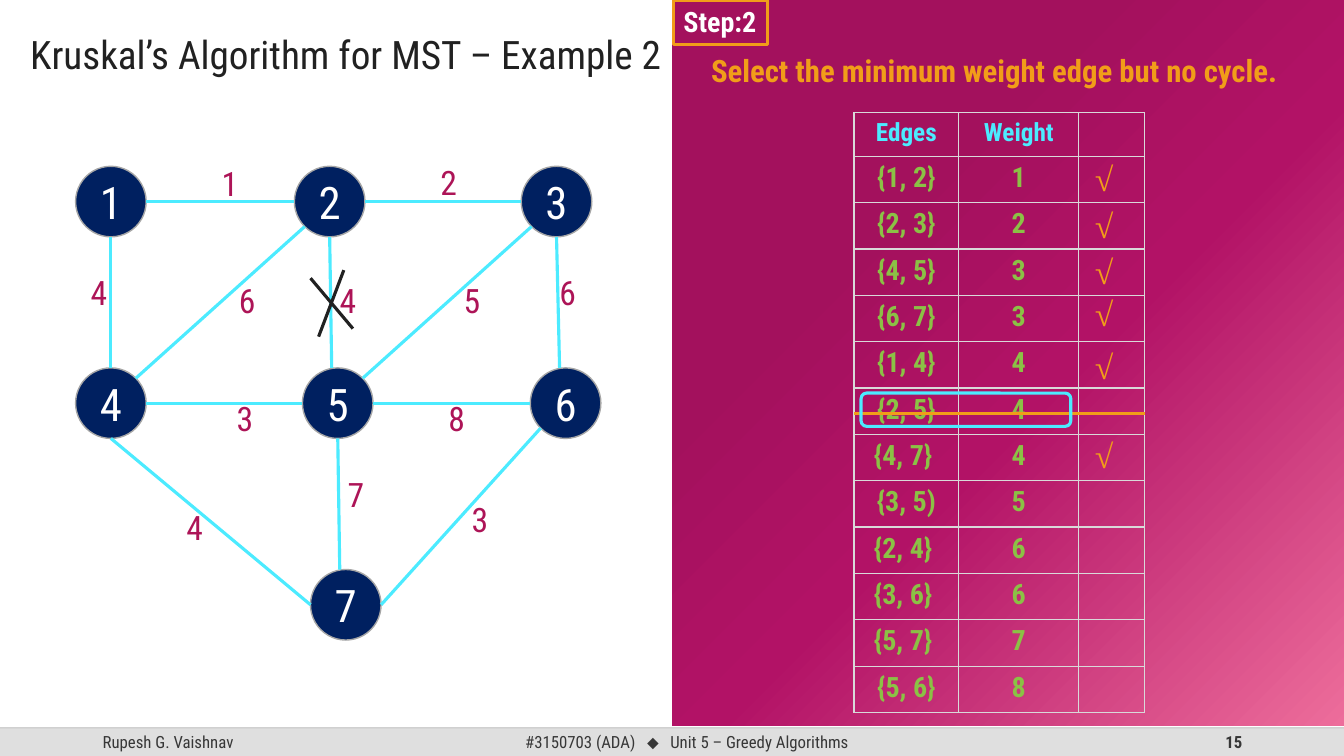
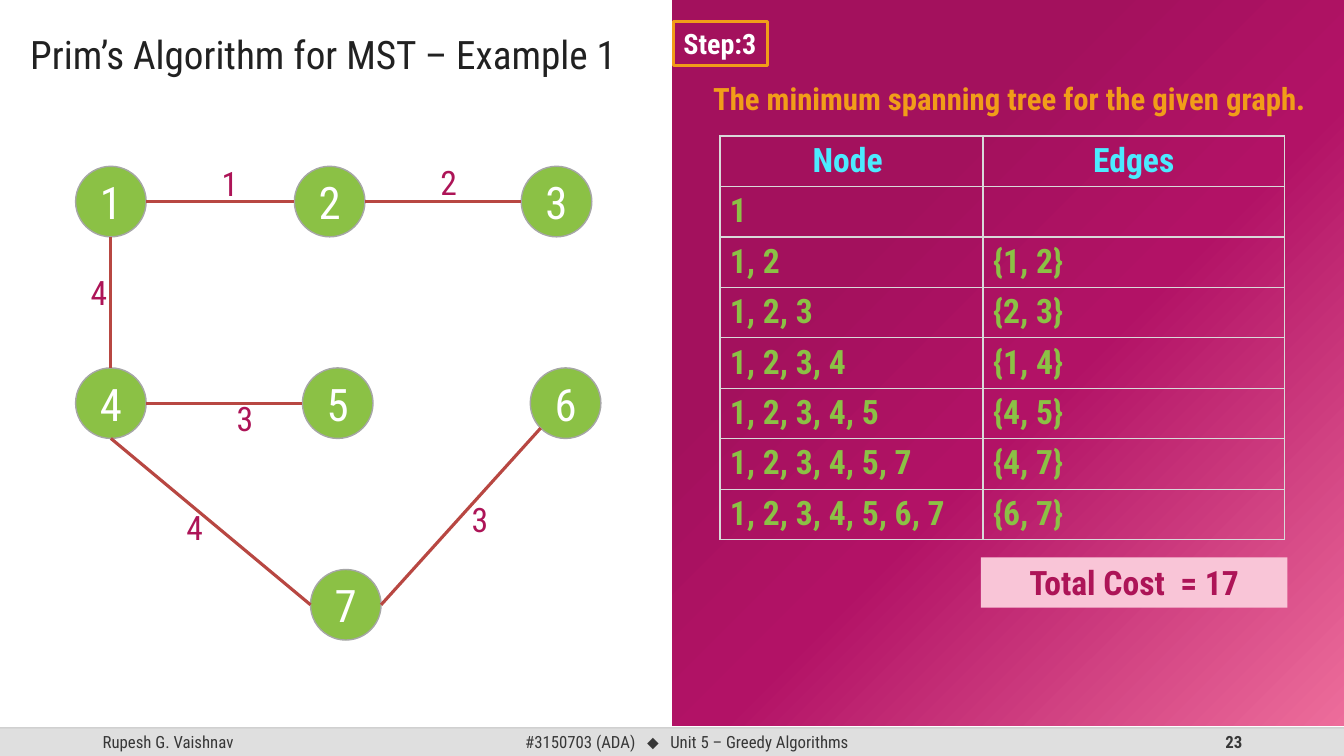
from dataclasses import dataclass, replace
from typing import NamedTuple, Sequence

from lxml import etree
from pptx import Presentation
from pptx.dml.color import RGBColor
from pptx.enum.shapes import MSO_CONNECTOR, MSO_SHAPE
from pptx.enum.text import MSO_ANCHOR, PP_ALIGN
from pptx.oxml import parse_xml
from pptx.oxml.ns import nsdecls, qn
from pptx.util import Inches, Pt

LEFT, CENTER, RIGHT = PP_ALIGN.LEFT, PP_ALIGN.CENTER, PP_ALIGN.RIGHT
TOP, MIDDLE = MSO_ANCHOR.TOP, MSO_ANCHOR.MIDDLE
RECTANGLE, ROUNDED, OVAL = MSO_SHAPE.RECTANGLE, MSO_SHAPE.ROUNDED_RECTANGLE, MSO_SHAPE.OVAL
STRAIGHT = MSO_CONNECTOR.STRAIGHT

WHITE = RGBColor(0xFF, 0xFF, 0xFF)
INK = RGBColor(0x21, 0x21, 0x21)
FOOTER_INK = RGBColor(0x37, 0x37, 0x37)
FOOTER_BAND = RGBColor(0xDF, 0xDF, 0xDF)
FOOTER_RULE = RGBColor(0xBF, 0xBF, 0xBF)
NODE_OUTLINE = RGBColor(0xA6, 0xA6, 0xA6)
GRID = RGBColor(0xD9, 0xD9, 0xD9)
NAVY = RGBColor(0x00, 0x20, 0x60)
GREEN = RGBColor(0x8B, 0xC1, 0x45)
CYAN = RGBColor(0x4C, 0xEB, 0xFF)
BRICK = RGBColor(0xB8, 0x47, 0x42)
ORANGE = RGBColor(0xF1, 0x9D, 0x19)
CRIMSON = RGBColor(0xAD, 0x14, 0x57)
PINK = RGBColor(0xF9, 0xC5, 0xD7)
PANEL_STOPS = ((30, RGBColor(0xA3, 0x11, 0x5D)), (55, RGBColor(0xB2, 0x12, 0x66)),
               (100, RGBColor(0xED, 0x6D, 0x9B)))

SLIDE_WIDTH, SLIDE_HEIGHT = 13.33, 7.5
FOOTER_TOP, FOOTER_HEIGHT = 7.22, 0.28
THICK = 2.25
NODE_SIZE = 0.7


class Box(NamedTuple):
    left: float
    top: float
    width: float
    height: float

    def lengths(self) -> list:
        return [Inches(value) for value in self]


class Point(NamedTuple):
    x: float
    y: float


@dataclass(frozen=True)
class TextStyle:
    size: int
    color: RGBColor
    bold: bool = False
    italic: bool = False
    font: str = "Roboto Condensed"


@dataclass(frozen=True)
class Edge:
    """A weighted edge; sides are steps right and down from each node's centre."""
    start: int
    start_side: tuple[int, int]
    end: int
    end_side: tuple[int, int]
    weight: int
    label: Point
    end_shift: float = 0


@dataclass(frozen=True)
class Grid:
    box: Box
    columns: Sequence[float]
    header_height: float
    row_height: float
    rows: Sequence[Sequence[str]]
    header: TextStyle
    body: TextStyle
    body_align: PP_ALIGN


TITLE = TextStyle(28, INK)
FOOTER = TextStyle(12, FOOTER_INK)
NODE = TextStyle(32, WHITE)
WEIGHT = TextStyle(24, CRIMSON)
BADGE = TextStyle(20, WHITE, bold=True)
HEADLINE = TextStyle(22, ORANGE, bold=True)
TOTAL = TextStyle(24, CRIMSON, bold=True)
TICK = TextStyle(24, ORANGE, True, True, "Times New Roman")

NODE_CENTERS = {1: Point(1.1, 2), 2: Point(3.27, 2), 3: Point(5.52, 2),
                4: Point(1.1, 4), 5: Point(3.35, 4), 6: Point(5.61, 4),
                7: Point(3.43, 6)}
E, W, N, S = (1, 0), (-1, 0), (0, -1), (0, 1)
NE, SW = (1, -1), (-1, 1)
EDGES = (
    Edge(1, E, 2, W, 1, Point(2.1, 1.57)),
    Edge(2, E, 3, W, 2, Point(4.27, 1.56)),
    Edge(4, E, 5, W, 3, Point(2.25, 3.9)),
    Edge(5, E, 6, W, 8, Point(4.35, 3.9)),
    Edge(1, S, 4, N, 4, Point(0.8, 2.65)),
    Edge(2, S, 5, N, 4, Point(3.27, 2.73), -0.06),
    Edge(3, S, 6, N, 6, Point(5.45, 2.65), -0.06),
    Edge(4, NE, 2, SW, 6, Point(2.27, 2.73)),
    Edge(5, NE, 3, SW, 5, Point(4.5, 2.73)),
    Edge(6, SW, 7, E, 3, Point(4.58, 4.9)),
    Edge(4, S, 7, W, 4, Point(1.75, 4.98)),
    Edge(5, S, 7, N, 7, Point(3.35, 4.65), -0.06),
)
SPANNING_TREE = {(1, 2), (2, 3), (1, 4), (4, 5), (4, 7), (6, 7)}

EDGE_TABLE = Grid(
    Box(8.47, 1.12, 2.88, 5.95), (1.04, 1.19, 0.65), 0.43, 0.46,
    (("Edges", "Weight", ""), ("{1, 2}", "1", ""), ("{2, 3}", "2", ""),
     ("{4, 5}", "3", ""), ("{6, 7}", "3", ""), ("{1, 4}", "4", ""),
     ("{2, 5}", "4", ""), ("{4, 7} ", "4", ""), ("{3, 5)", "5", ""),
     ("{2, 4} ", "6", ""), ("{3, 6} ", "6", ""), ("{5, 7} ", "7", ""),
     ("{5, 6}", "8", "")),
    TextStyle(18, CYAN, bold=True), TextStyle(20, GREEN, bold=True), CENTER)
TREE_TABLE = Grid(
    Box(7.14, 1.35, 5.6, 4), (2.61, 2.99), 0.5, 0.5,
    (("Node ", "Edges"), ("1", ""), ("1, 2", "{1, 2}"), ("1, 2, 3", "{2, 3}"),
     ("1, 2, 3, 4", "{1, 4}"), ("1, 2, 3, 4, 5", "{4, 5}"),
     ("1, 2, 3, 4, 5, 7", "{4, 7}"), ("1, 2, 3, 4, 5, 6, 7", "{6, 7}")),
    TextStyle(24, CYAN, bold=True), TextStyle(24, GREEN, bold=True), LEFT)
TICK_TOPS = (1.54, 2, 2.46, 2.88, 3.4, 4.28)


def add_run(paragraph, text: str, style: TextStyle) -> None:
    run = paragraph.add_run()
    run.text = text
    font = run.font
    font.name, font.size = style.font, Pt(style.size)
    font.bold, font.italic = style.bold, style.italic
    font.color.rgb = style.color


def write(shape, text: str, style: TextStyle, align=LEFT, anchor=TOP, wrap=True):
    """Fill a shape's first paragraph and return that paragraph."""
    frame = shape.text_frame
    frame.word_wrap, frame.vertical_anchor = wrap, anchor
    paragraph = frame.paragraphs[0]
    paragraph.alignment = align
    add_run(paragraph, text, style)
    return paragraph


def add_label(slide, box: Box, text: str, style: TextStyle, align=LEFT, anchor=TOP, wrap=True):
    label = slide.shapes.add_textbox(*box.lengths())
    write(label, text, style, align, anchor, wrap)
    return label


def add_outline(slide, kind, box: Box, fill=None, line=None, width: float = THICK):
    shape = slide.shapes.add_shape(kind, *box.lengths())
    shape.shadow.inherit = False
    if fill is None:
        shape.fill.background()
    else:
        shape.fill.solid()
        shape.fill.fore_color.rgb = fill
    if line is None:
        shape.line.fill.background()
    else:
        shape.line.color.rgb = line
        shape.line.width = Pt(width)
    return shape


def add_line(slide, start: Point, end: Point, color: RGBColor, width: float = THICK):
    line = slide.shapes.add_connector(STRAIGHT, *[Inches(v) for v in (*start, *end)])
    line.line.color.rgb = color
    line.line.width = Pt(width)
    etree.SubElement(line._element.spPr, qn("a:effectLst"))
    return line


def add_footer(slide, number: int) -> None:
    add_outline(slide, RECTANGLE, Box(0, FOOTER_TOP, SLIDE_WIDTH, FOOTER_HEIGHT), FOOTER_BAND)
    add_label(slide, Box(0.92, FOOTER_TOP, 3, FOOTER_HEIGHT), "Rupesh G. Vaishnav",
              FOOTER, anchor=MIDDLE)
    course = slide.shapes.add_textbox(*Box(5.11, FOOTER_TOP, 4.1, FOOTER_HEIGHT).lengths())
    paragraph = course.text_frame.paragraphs[0]
    tabs = etree.SubElement(paragraph._p.get_or_add_pPr(), qn("a:tabLst"))
    for position in (1.21, 1.44):
        etree.SubElement(tabs, qn("a:tab"), pos=str(Inches(position)), algn="l")
    write(course, "#3150703 (ADA)\t", FOOTER, anchor=MIDDLE)
    add_run(paragraph, "⬥", replace(FOOTER, font="Arial"))
    add_run(paragraph, "\tUnit 5 – Greedy Algorithms", FOOTER)
    add_label(slide, Box(9.42, FOOTER_TOP, 3, FOOTER_HEIGHT), str(number),
              replace(FOOTER, bold=True), RIGHT, MIDDLE)
    rule = add_line(slide, Point(0, FOOTER_TOP), Point(SLIDE_WIDTH, FOOTER_TOP), FOOTER_RULE, 1)
    color = next(rule._element.iter(qn("a:srgbClr")))
    etree.SubElement(color, qn("a:alpha"), val="70000")


def add_panel(slide) -> None:
    """Right half with a gradient spreading from its top left corner."""
    panel = add_outline(slide, RECTANGLE, Box(6.67, 0, 6.67, 7.2))
    stops = "".join(f'<a:gs pos="{at * 1000}"><a:srgbClr val="{color}"/></a:gs>'
                    for at, color in PANEL_STOPS)
    gradient = parse_xml(
        f'<a:gradFill {nsdecls("a")} rotWithShape="1"><a:gsLst>{stops}</a:gsLst>'
        '<a:path path="circle"><a:fillToRect r="100000" b="100000"/></a:path></a:gradFill>')
    properties = panel._element.spPr
    properties.replace(properties.find(qn("a:noFill")), gradient)


def add_frame(slide, title: str, number: int, step: str, step_top: float) -> None:
    """Footer, panel, title and step badge."""
    add_footer(slide, number)
    add_panel(slide)
    heading = slide.shapes.add_textbox(*Box(0, 0.01, 6.8, 0.81).lengths())
    heading.text_frame.margin_left = Inches(0.3)
    write(heading, title, TITLE, anchor=MIDDLE).line_spacing = 1.5
    badge = add_outline(slide, RECTANGLE, Box(6.68, step_top, 0.93, 0.44), line=ORANGE)
    write(badge, step, BADGE, wrap=False)


def node_site(node: int, side: tuple[int, int]) -> Point:
    """Point on a node's rim in the given direction."""
    center, (right, down) = NODE_CENTERS[node], side
    reach = NODE_SIZE / 2 / (right ** 2 + down ** 2) ** 0.5
    return Point(center.x + right * reach, center.y + down * reach)


def add_graph(slide, edges: Sequence[Edge], node_fill: RGBColor, edge_color: RGBColor) -> None:
    for number, center in NODE_CENTERS.items():
        box = Box(center.x - NODE_SIZE / 2, center.y - NODE_SIZE / 2, NODE_SIZE, NODE_SIZE)
        node = add_outline(slide, OVAL, box, node_fill, NODE_OUTLINE, 1)
        write(node, str(number), NODE, CENTER, MIDDLE)
    for edge in edges:
        end = node_site(edge.end, edge.end_side)
        add_line(slide, node_site(edge.start, edge.start_side),
                 Point(end.x + edge.end_shift, end.y), edge_color)
    for edge in edges:
        add_label(slide, Box(*edge.label, 0.4, 0.5), str(edge.weight), WEIGHT)


def add_cell_borders(cell) -> None:
    properties = cell._tc.get_or_add_tcPr()
    for index, side in enumerate(("lnL", "lnR", "lnT", "lnB")):
        properties.insert(index, parse_xml(
            f'<a:{side} {nsdecls("a")} w="{Pt(1)}"><a:solidFill>'
            f'<a:srgbClr val="{GRID}"/></a:solidFill></a:{side}>'))


def add_grid(slide, grid: Grid) -> None:
    table = slide.shapes.add_table(len(grid.rows), len(grid.columns), *grid.box.lengths()).table
    table.first_row = table.horz_banding = False
    for column, width in zip(table.columns, grid.columns):
        column.width = Inches(width)
    for index, (row, texts) in enumerate(zip(table.rows, grid.rows)):
        row.height = Inches(grid.row_height if index else grid.header_height)
        style, align = (grid.body, grid.body_align) if index else (grid.header, CENTER)
        for cell, text in zip(row.cells, texts):
            cell.fill.background()
            add_cell_borders(cell)
            if text:
                paragraph = cell.text_frame.paragraphs[0]
                paragraph.alignment = align
                add_run(paragraph, text, style)


def build_kruskal(slide) -> None:
    add_frame(slide, "Kruskal’s Algorithm for MST – Example 2", 15, "Step:2", 0)
    add_graph(slide, EDGES, NAVY, CYAN)
    add_label(slide, Box(6.67, 0.46, 6.38, 0.47),
              "Select the minimum weight edge but no cycle.", HEADLINE, CENTER)
    add_grid(slide, EDGE_TABLE)
    for top in TICK_TOPS:
        add_label(slide, Box(10.74, top, 0.5, 0.46), "√ ", TICK, CENTER, MIDDLE)
    add_line(slide, Point(8.47, 4.1), Point(11.36, 4.1), ORANGE)
    add_outline(slide, ROUNDED, Box(8.54, 3.9, 2.08, 0.33), line=CYAN)
    add_line(slide, Point(3.41, 2.68), Point(3.16, 3.34), INK)
    add_line(slide, Point(3.08, 2.76), Point(3.5, 3.26), INK)


def build_prim(slide) -> None:
    add_frame(slide, "Prim’s Algorithm for MST – Example 1", 23, "Step:3", 0.21)
    tree = [e for e in EDGES if (e.start, e.end) in SPANNING_TREE]
    add_graph(slide, tree, GREEN, BRICK)
    add_label(slide, Box(6.91, 0.74, 6.2, 0.47),
              "The minimum spanning tree for the given graph.", HEADLINE, CENTER)
    add_grid(slide, TREE_TABLE)
    total = add_outline(slide, RECTANGLE, Box(9.73, 5.53, 3.04, 0.5), PINK)
    write(total, "Total Cost  = 17", TOTAL, CENTER)


def main() -> None:
    deck = Presentation()
    deck.slide_width, deck.slide_height = Inches(SLIDE_WIDTH), Inches(SLIDE_HEIGHT)
    for build in (build_kruskal, build_prim):
        build(deck.slides.add_slide(deck.slide_layouts[6]))
    deck.save("out.pptx")


if __name__ == "__main__":
    main()
